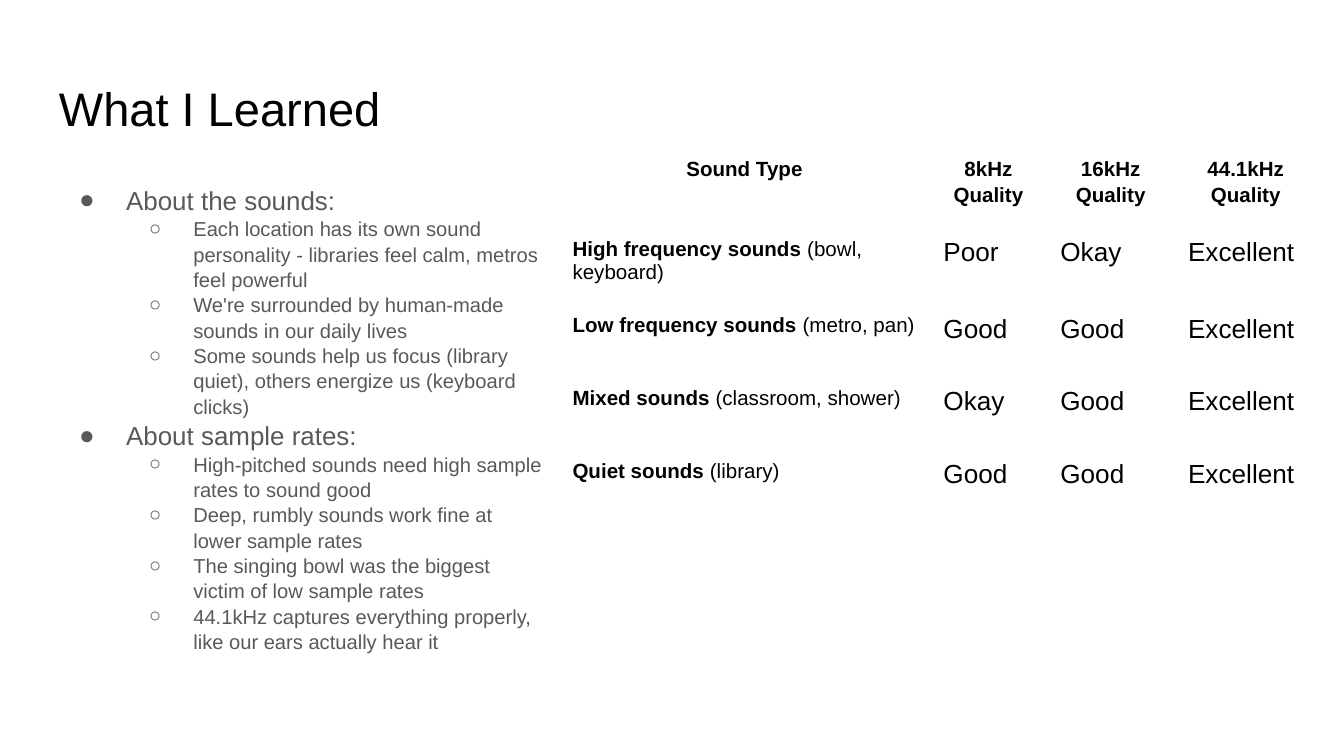
from lxml import etree
from pptx import Presentation
from pptx.dml.color import RGBColor
from pptx.enum.text import MSO_ANCHOR as Anchor, PP_ALIGN as Align
from pptx.oxml.ns import qn
from pptx.util import Inches, Pt

BLACK, GRAY = "000000", "595959"
FONT = "Arial"
NO_STYLE_NO_GRID = "{2D5ABB26-0587-4C30-8999-92F81FD0307C}"
MARGINS = dict.fromkeys(
    ("margin_left", "margin_top", "margin_right", "margin_bottom"), Inches(0.1))

# Per outline level: bullet, left indent, hanging indent, text size
LEVELS = [("●", 0.5, -0.35, 13.9), ("○", 1, -0.33, 10.8)]

OUTLINE = {
    "About the sounds:": [
        "Each location has its own sound personality - libraries feel calm, metros feel powerful",
        "We're surrounded by human-made sounds in our daily lives",
        "Some sounds help us focus (library quiet), others energize us (keyboard clicks)",
    ],
    "About sample rates:": [
        "High-pitched sounds need high sample rates to sound good",
        "Deep, rumbly sounds work fine at lower sample rates",
        "The singing bowl was the biggest victim of low sample rates",
        "44.1kHz captures everything properly, like our ears actually hear it",
    ],
}

TABLE_SIDE = Inches(3.28)
COLUMN_WIDTHS = [2.76, 0.87, 0.95, 1.06]
ROW_HEIGHTS = [0.5] + [0.54] * 4
HEADERS = ["Sound Type", "8kHz Quality", "16kHz Quality", "44.1kHz Quality"]
SOUND_ROWS = [
    ("High frequency sounds", " (bowl, keyboard)", "Poor", "Okay", "Excellent"),
    ("Low frequency sounds", " (metro, pan)", "Good", "Good", "Excellent"),
    ("Mixed sounds", " (classroom, shower)", "Okay", "Good", "Excellent"),
    ("Quiet sounds", " (library)", "Good", "Good", "Excellent"),
]


def color(value):
    return RGBColor.from_string(value)


def set_format(target, values):
    for name, value in values.items():
        setattr(target, name, value)


def add_run(paragraph, text, size, hex_color=BLACK, bold=False):
    run = paragraph.add_run()
    run.text = text
    set_format(run.font, {"name": FONT, "size": Pt(size), "bold": bold})
    run.font.color.rgb = color(hex_color)


def add_text_frame(slide, left, top, width, height):
    box = slide.shapes.add_textbox(*map(Inches, (left, top, width, height)))
    set_format(box.text_frame,
               {"word_wrap": True, "vertical_anchor": Anchor.TOP, **MARGINS})
    return box.text_frame


def add_bullet(paragraph, character, left, hanging):
    properties = paragraph._p.get_or_add_pPr()
    properties.set("marL", str(Inches(left)))
    properties.set("indent", str(Inches(hanging)))
    bullet_color = etree.SubElement(properties, qn("a:buClr"))
    etree.SubElement(bullet_color, qn("a:srgbClr"), val=GRAY)
    etree.SubElement(properties, qn("a:buFont"), typeface=FONT)
    etree.SubElement(properties, qn("a:buChar"), char=character)


def add_outline(slide):
    frame = add_text_frame(slide, 0.34, 1.26, 3.82, 3.74)
    items = []
    for heading, points in OUTLINE.items():
        items += [(0, heading)] + [(1, point) for point in points]
    for index, (level, text) in enumerate(items):
        paragraph = frame.add_paragraph() if index else frame.paragraphs[0]
        character, left, hanging, size = LEVELS[level]
        add_bullet(paragraph, character, left, hanging)
        set_format(paragraph, {"level": level, "line_spacing": 1.05})
        add_run(paragraph, text, size, GRAY)


def add_quality_table(slide):
    graphic_frame = slide.shapes.add_table(
        len(ROW_HEIGHTS), len(COLUMN_WIDTHS),
        Inches(4.16), Inches(1.05), TABLE_SIDE, TABLE_SIDE)
    table = graphic_frame.table
    set_format(table, {"first_row": False, "horz_banding": False})
    table._tbl.tblPr.find(qn("a:tableStyleId")).text = NO_STYLE_NO_GRID
    for column, width in zip(table.columns, COLUMN_WIDTHS):
        column.width = Inches(width)
    for row, height in zip(table.rows, ROW_HEIGHTS):
        row.height = Inches(height)
    # Sizing rows and columns resizes the frame, so its size is set last
    set_format(graphic_frame, {"width": TABLE_SIDE, "height": TABLE_SIDE})
    for cell in table.iter_cells():
        set_format(cell, MARGINS)
        cell.fill.background()

    for column, header in enumerate(HEADERS):
        paragraph = table.cell(0, column).text_frame.paragraphs[0]
        set_format(paragraph, {"alignment": Align.CENTER, "line_spacing": 1.15})
        add_run(paragraph, header, 11, bold=True)
    for row, (sound, examples, *ratings) in enumerate(SOUND_ROWS, 1):
        paragraph = table.cell(row, 0).text_frame.paragraphs[0]
        add_run(paragraph, sound, 11, bold=True)
        add_run(paragraph, examples, 11)
        for column, rating in enumerate(ratings, 1):
            add_run(table.cell(row, column).text_frame.paragraphs[0], rating, 14)


def main():
    presentation = Presentation()
    set_format(presentation,
               {"slide_width": Inches(10), "slide_height": Inches(10 * 9 / 16)})
    slide = presentation.slides.add_slide(presentation.slide_layouts[6])
    title = add_text_frame(slide, 0.34, 0.49, 9.32, 0.63)
    add_run(title.paragraphs[0], "What I Learned", 25.2)
    add_outline(slide)
    add_quality_table(slide)
    presentation.save("out.pptx")


if __name__ == "__main__":
    main()
